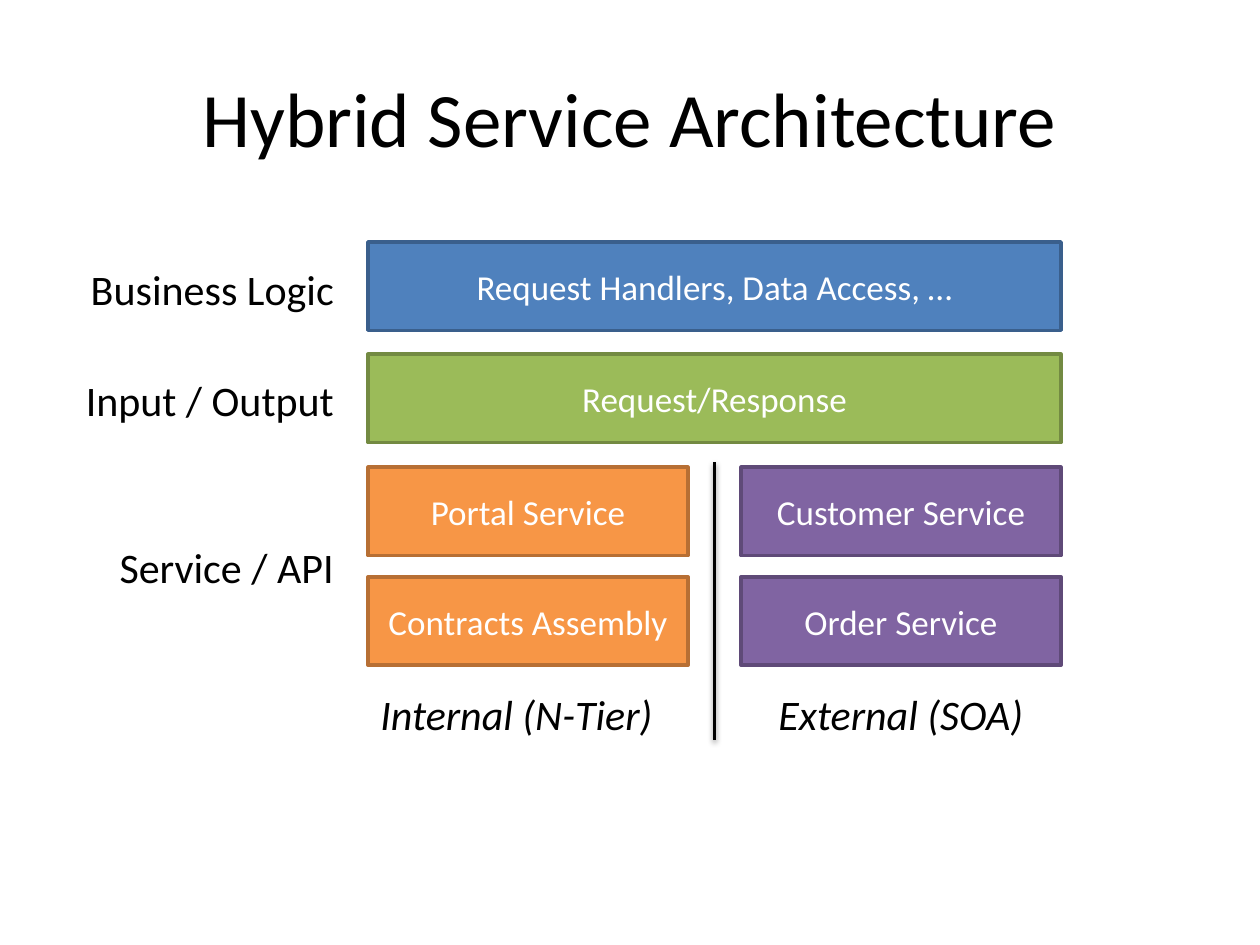
import pptx
import pptx.util
import pptx.dml.color
import pptx.enum.shapes
import pptx.enum.text
import pptx.oxml
from pptx.util import Cm, Pt

ALIGN = pptx.enum.text.PP_ALIGN
ANCHOR = pptx.enum.text.MSO_ANCHOR


def color(hex_string):
    return pptx.dml.color.RGBColor.from_string(hex_string)


def write(shape, text, size, ink, align, italic=None):
    shape.text_frame.text = text
    paragraph = shape.text_frame.paragraphs[0]
    paragraph.alignment = align
    font = paragraph.runs[0].font
    font.name, font.size, font.italic = "Calibri", Pt(size), italic
    font.color.rgb = color(ink)


deck = pptx.Presentation()
deck.slide_width, deck.slide_height = Cm(25.4), Cm(19.05)
slide = deck.slides.add_slide(deck.slide_layouts[5])

# Title
title = slide.shapes.title
title.left, title.top, title.width, title.height = Cm(1.27), Cm(0.76), Cm(22.86), Cm(3.18)
write(title, "Hybrid Service Architecture", 44, "000000", ALIGN.CENTER)
title.text_frame.vertical_anchor = ANCHOR.MIDDLE

# Layer blocks: two full-width layers above two columns of services
internal_left, external_left = 7.42, 14.94
service_width, block_height = 6.45, 1.78
full_width = external_left + service_width - internal_left
blue, green = ("4F81BD", "3A5F8C"), ("9BBB59", "738A42")
orange, purple = ("F79646", "B76F34"), ("8064A2", "5F4A78")
row_tops = [4.88, 7.14, 9.42, 11.63]
blocks = [
    ("Request Handlers, Data Access, …", internal_left, 0, full_width, blue),
    ("Request/Response", internal_left, 1, full_width, green),
    ("Portal Service", internal_left, 2, service_width, orange),
    ("Contracts Assembly", internal_left, 3, service_width, orange),
    ("Customer Service", external_left, 2, service_width, purple),
    ("Order Service", external_left, 3, service_width, purple),
]
for text, left, row, width, (fill, outline) in blocks:
    block = slide.shapes.add_shape(
        pptx.enum.shapes.MSO_SHAPE.RECTANGLE,
        Cm(left), Cm(row_tops[row]), Cm(width), Cm(block_height))
    block.shadow.inherit = False
    block.fill.solid()
    block.fill.fore_color.rgb = color(fill)
    block.line.color.rgb = color(outline)
    block.line.width = Pt(2)
    write(block, text, 20, "FFFFFF", ALIGN.CENTER)
    block.text_frame.vertical_anchor = ANCHOR.MIDDLE

# Layer labels share a right edge; column captions are italic
label_right = 7.04
labels = [
    ("Business Logic", label_right - 5.46, 5.18, 5.46, None),
    ("Input / Output", label_right - 5.56, 7.42, 5.56, None),
    ("Service / API", label_right - 4.88, 10.8, 4.88, None),
    ("Internal (N-Tier)", internal_left, 13.76, 6.1, True),
    ("External (SOA)", 15.44, 13.76, 5.51, True),
]
for text, left, top, width, italic in labels:
    label = slide.shapes.add_textbox(Cm(left), Cm(top), Cm(width), Cm(1.27))
    write(label, text, 24, "000000", ALIGN.LEFT, italic)
    label.text_frame.word_wrap = False
    label.text_frame.auto_size = pptx.enum.text.MSO_AUTO_SIZE.SHAPE_TO_FIT_TEXT

# Divider between internal and external services, with a soft shadow
divider = slide.shapes.add_connector(
    pptx.enum.shapes.MSO_CONNECTOR.STRAIGHT, Cm(14.4), Cm(9.32), Cm(14.4), Cm(14.91))
divider.line.color.rgb = color("000000")
divider.line.width = Pt(2)
divider._element.spPr.append(pptx.oxml.parse_xml(
    '<a:effectLst xmlns:a="http://schemas.openxmlformats.org/drawingml/2006/main">'
    '<a:outerShdw blurRad="40000" dist="20000" dir="5400000" rotWithShape="0">'
    '<a:srgbClr val="000000"><a:alpha val="38000"/></a:srgbClr>'
    '</a:outerShdw></a:effectLst>'))

deck.save("out.pptx")
